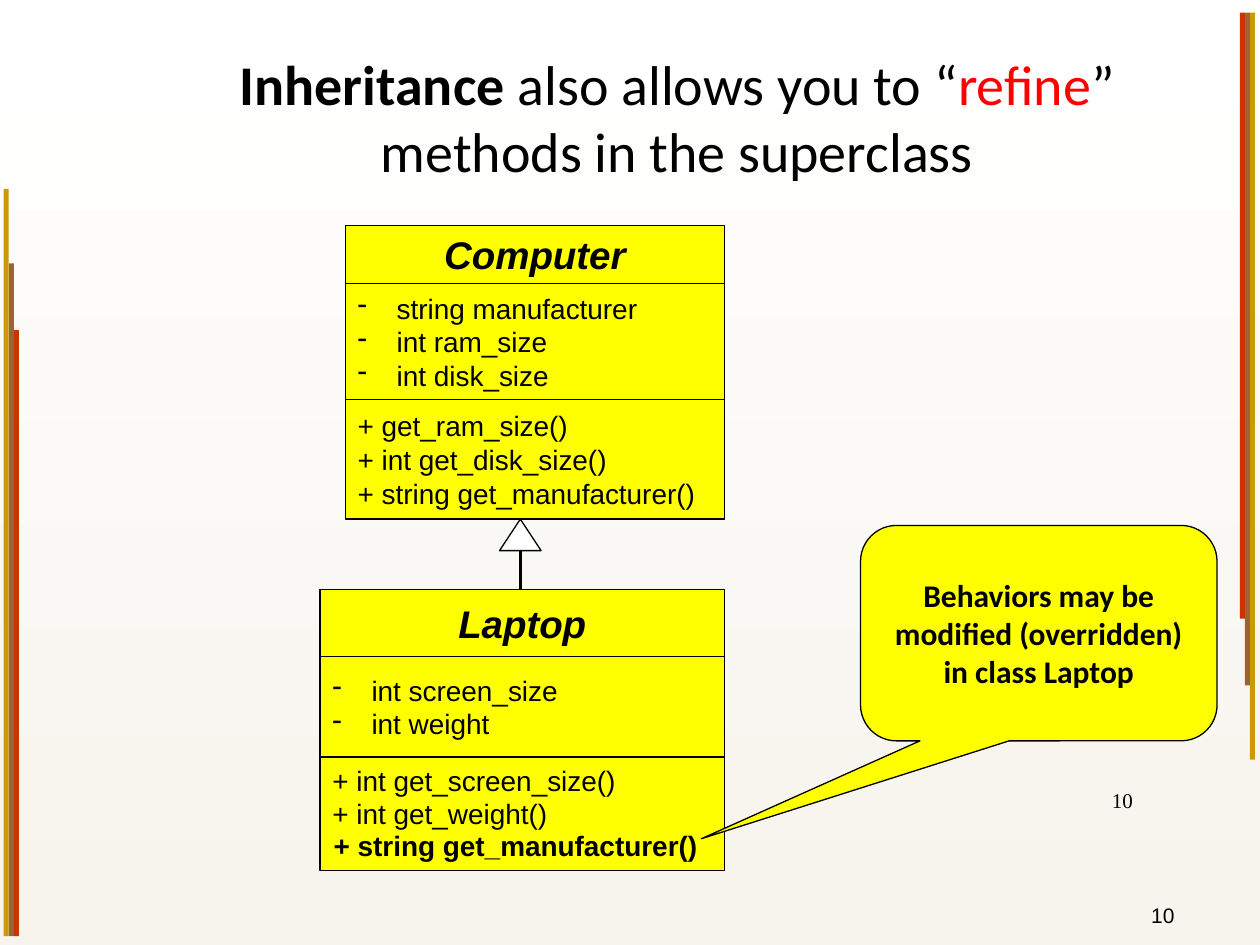
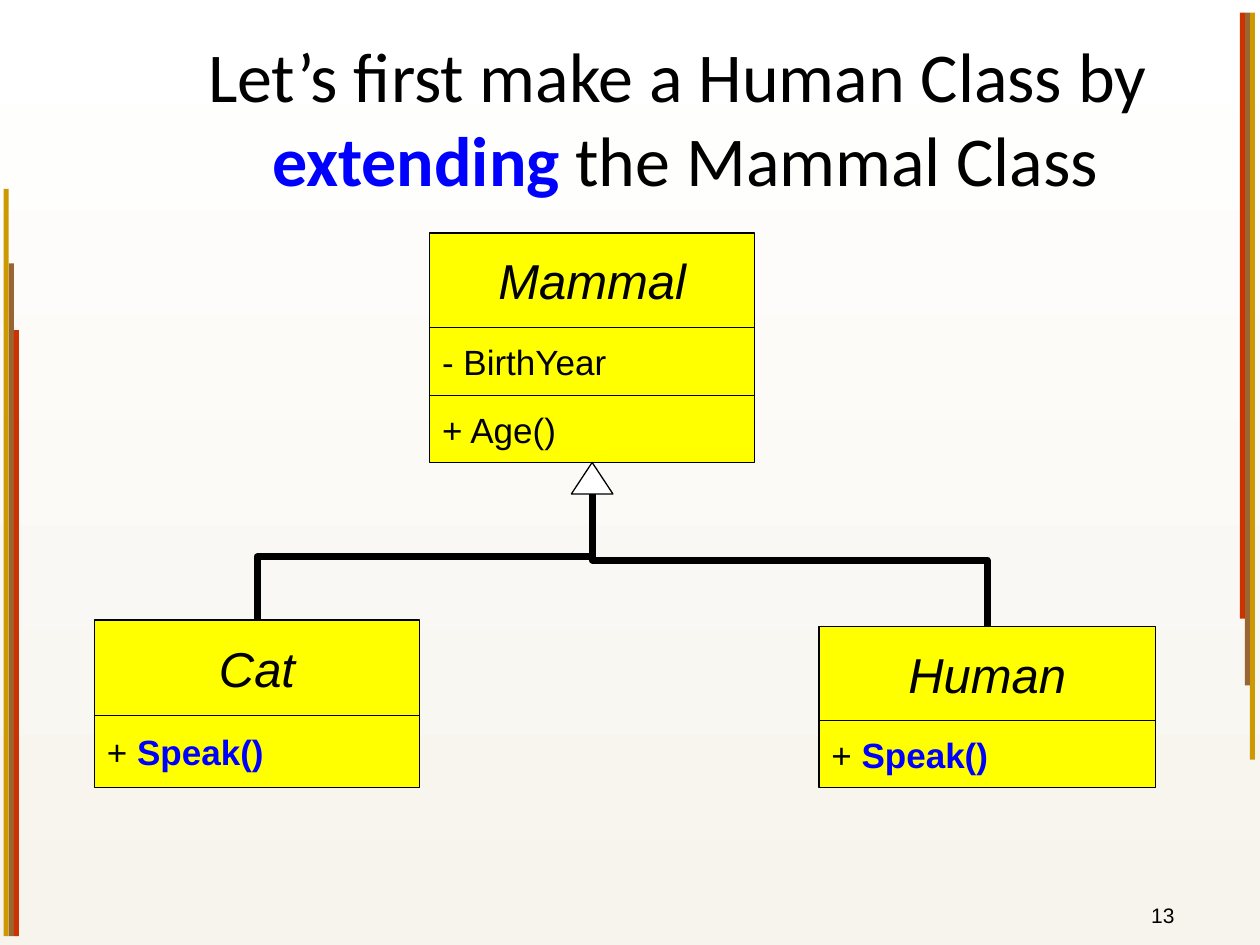
import pptx
import pptx.util
import pptx.dml.color
import pptx.enum.shapes
import pptx.enum.text
import pptx.oxml
import pptx.oxml.ns

Inches = pptx.util.Inches
Pt = pptx.util.Pt
RGBColor = pptx.dml.color.RGBColor
SHAPE = pptx.enum.shapes.MSO_SHAPE
CONNECTOR = pptx.enum.shapes.MSO_CONNECTOR
ALIGN = pptx.enum.text.PP_ALIGN
ANCHOR = pptx.enum.text.MSO_ANCHOR
qn = pptx.oxml.ns.qn

BLACK = RGBColor(0, 0, 0)
WHITE = RGBColor(255, 255, 255)
CREAM = RGBColor(0xF7, 0xF4, 0xED)
YELLOW = RGBColor(255, 255, 0)
RED = RGBColor(255, 0, 0)
BLUE = RGBColor(0, 0, 255)
GOLD = RGBColor(0xCC, 0x99, 0)
BROWN = RGBColor(0x99, 0x66, 0x33)
RUST = RGBColor(0xCC, 0x33, 0)

# Side bands from the outer edge inwards: colour and length
BANDS = [(GOLD, 5.93), (BROWN, 5.34), (RUST, 4.81)]
BAND_WIDTH = 0.04
BAND_MARGIN = 0.03
BAND_TOP = 0.1
BAND_BOTTOM = 7.43


class ClassDiagramDeck:
    """Holds the shared style and the slide being drawn."""

    def __init__(self):
        self.deck = pptx.Presentation()
        self.deck.slide_width = Inches(10)
        self.deck.slide_height = Inches(7.5)
        self.page = None

    def start_page(self, title, title_size, number):
        self.page = self.deck.slides.add_slide(self.deck.slide_layouts[6])
        fill = self.page.background.fill
        fill.gradient()
        fill.gradient_angle = 270
        for stop, color in zip(fill.gradient_stops, (WHITE, CREAM)):
            stop.color.rgb = color
        self.bands()
        self.text_box((1.25, 0.3, 8.25, 1.25), [title], title_size, "Calibri",
                      ALIGN.CENTER, ANCHOR.MIDDLE)
        self.page_number(number, 8.75, 7.08)

    def bands(self):
        for index, (color, length) in enumerate(BANDS):
            offset = BAND_MARGIN + index * BAND_WIDTH
            right = 10 - offset - BAND_WIDTH - 0.01
            for left, top in ((offset, BAND_BOTTOM - length), (right, BAND_TOP)):
                self.shape(SHAPE.RECTANGLE, (left, top, BAND_WIDTH, length), color, False)

    def page_number(self, number, left, top, font="Arial"):
        self.text_box((left, top, 0.67, 0.33), [[(number, {})]], 12, font,
                      ALIGN.RIGHT, ANCHOR.BOTTOM)

    def shape(self, kind, place, color, outlined=True):
        shape = self.page.shapes.add_shape(kind, *map(Inches, place))
        shape.shadow.inherit = False
        shape.fill.solid()
        shape.fill.fore_color.rgb = color
        if outlined:
            shape.line.color.rgb = BLACK
            shape.line.width = Pt(0.75)
        else:
            shape.line.fill.background()
        return shape

    def text_box(self, place, paras, size, font="Arial", align=ALIGN.LEFT,
                 anchor=ANCHOR.TOP, wrap=True):
        box = self.page.shapes.add_textbox(*map(Inches, place))
        self.add_text(box, paras, size, font, align, anchor)
        box.text_frame.word_wrap = wrap

    def add_text(self, shape, paras, size, font="Arial", align=ALIGN.LEFT,
                 anchor=ANCHOR.MIDDLE, dashed=False):
        """Each paragraph is a list of (text, style) spans; "\\v" breaks a line."""
        frame = shape.text_frame
        frame.word_wrap = True
        frame.vertical_anchor = anchor
        for index, spans in enumerate(paras):
            para = frame.add_paragraph() if index else frame.paragraphs[0]
            para.alignment = align
            if dashed:
                self.dash_bullet(para)
            for text, style in spans:
                for part, line in enumerate(text.split("\v")):
                    if part:
                        para.add_line_break()
                    span = para.add_run()
                    span.text = line
                    span.font.name = font
                    span.font.size = Pt(size)
                    span.font.bold = style.get("bold", False)
                    span.font.italic = style.get("italic", False)
                    span.font.color.rgb = style.get("color", BLACK)

    def dash_bullet(self, para):
        props = para._p.get_or_add_pPr()
        indent = Inches(0.31)
        props.set("marL", str(indent))
        props.set("indent", str(-indent))
        props.append(props.makeelement(qn("a:buChar"), {"char": "-"}))

    def class_box(self, left, top, width, name, name_height, name_size, sections,
                  size, bold=False):
        """Sections are (height, paragraphs, options for add_text), stacked below the name."""
        heading = (name_height, [[(name, {"bold": bold, "italic": True})]],
                   {"size": name_size, "align": ALIGN.CENTER})
        for height, paras, options in [heading] + sections:
            box = self.shape(SHAPE.RECTANGLE, (left, top, width, height), YELLOW)
            self.add_text(box, paras, **{"size": size, **options})
            top += height

    def inheritance_arrow(self, center, top):
        self.shape(SHAPE.ISOSCELES_TRIANGLE, (center - 0.165, top, 0.33, 0.25), WHITE)

    def connector(self, kind, start, end, weight):
        line = self.page.shapes.add_connector(kind, *map(Inches, start + end))
        line.line.color.rgb = BLACK
        line.line.width = Pt(weight)
        properties = line._element.spPr
        properties.append(properties.makeelement(qn("a:effectLst"), {}))
        return properties

    def rising_elbow(self, start, end, weight):
        """An elbow that leaves upwards: a sideways one, turned by 270 degrees."""
        middle_x, middle_y = (start[0] + end[0]) / 2, (start[1] + end[1]) / 2
        half_rise, half_run = (start[1] - end[1]) / 2, (start[0] - end[0]) / 2
        properties = self.connector(
            CONNECTOR.ELBOW, (middle_x - half_rise, middle_y + half_run),
            (middle_x + half_rise, middle_y - half_run), weight)
        properties.find(qn("a:xfrm")).set("rot", str(270 * 60000))

    def callout(self, place, text, tip):
        bubble = self.shape(SHAPE.ROUNDED_RECTANGULAR_CALLOUT, place, YELLOW)
        for index, value in enumerate(tip + (0.167,)):
            bubble.adjustments[index] = value
        self.add_text(bubble, [[(text, {"bold": True})]], 18, "Calibri", ALIGN.CENTER)


def plain(*lines):
    return [[(line, {})] for line in lines]


def refine_page(deck):
    title = [("Inheritance", {"bold": True}), (" also allows you to “", {}),
             ("refine", {"color": RED}), ("” methods in the superclass", {})]
    deck.start_page(title, 32, "10")
    deck.page_number("10", 8.42, 6.17, "Times New Roman")

    # Superclass and subclass
    deck.class_box(2.74, 1.79, 3.01, "Computer", 0.46, 22, [
        (0.92, plain("string manufacturer", "int ram_size", "int disk_size"),
         {"dashed": True}),
        (0.95, plain("+ get_ram_size()", "+ int get_disk_size()",
                     "+ string get_manufacturer()"), {}),
    ], 16, bold=True)
    deck.class_box(2.54, 4.68, 3.21, "Laptop", 0.53, 22, [
        (0.8, plain("int screen_size", "int weight"), {"dashed": True}),
        (0.9, plain("+ int get_screen_size()", "+ int get_weight()"),
         {"anchor": ANCHOR.TOP}),
    ], 16, bold=True)
    deck.connector(CONNECTOR.STRAIGHT, (4.13, 4.37), (4.13, 4.68), 2)
    deck.inheritance_arrow(4.13, 4.12)

    # Overridden method and its callout
    deck.callout((6.83, 4.17, 2.83, 1.71),
                 "Behaviors may be modified (overridden) in class Laptop", (-0.946, 0.954))
    deck.text_box((2.55, 6.53, 3.13, 0.37),
                  [[("+ string get_manufacturer()", {"bold": True})]], 16, wrap=False)


def extend_page(deck):
    title = [("Let’s first make a Human Class by\v ", {}),
             ("extending", {"bold": True, "color": BLUE}), (" the Mammal Class", {})]
    deck.start_page(title, 40, "13")

    # Superclass
    deck.class_box(3.41, 1.85, 2.58, "Mammal", 0.75, 28, [
        (0.54, plain("- BirthYear"), {}),
        (0.53, plain("+ Age()"), {}),
    ], 20)
    deck.inheritance_arrow(4.7, 3.67)

    # Subclasses, each joined to the superclass
    speak = [[("+ ", {}), ("Speak()", {"bold": True, "color": BLUE})]]
    for name, left, top, width, name_height, height in (
            ("Cat", 0.75, 4.92, 2.58, 0.76, 0.57),
            ("Human", 6.5, 4.97, 2.67, 0.75, 0.53)):
        deck.class_box(left, top, width, name, name_height, 28,
                       [(height, speak, {})], 20)
        deck.rising_elbow((left + width / 2, top), (4.7, 3.92), 4)


def main():
    diagrams = ClassDiagramDeck()
    refine_page(diagrams)
    extend_page(diagrams)
    diagrams.deck.save("out.pptx")


if __name__ == "__main__":
    main()
